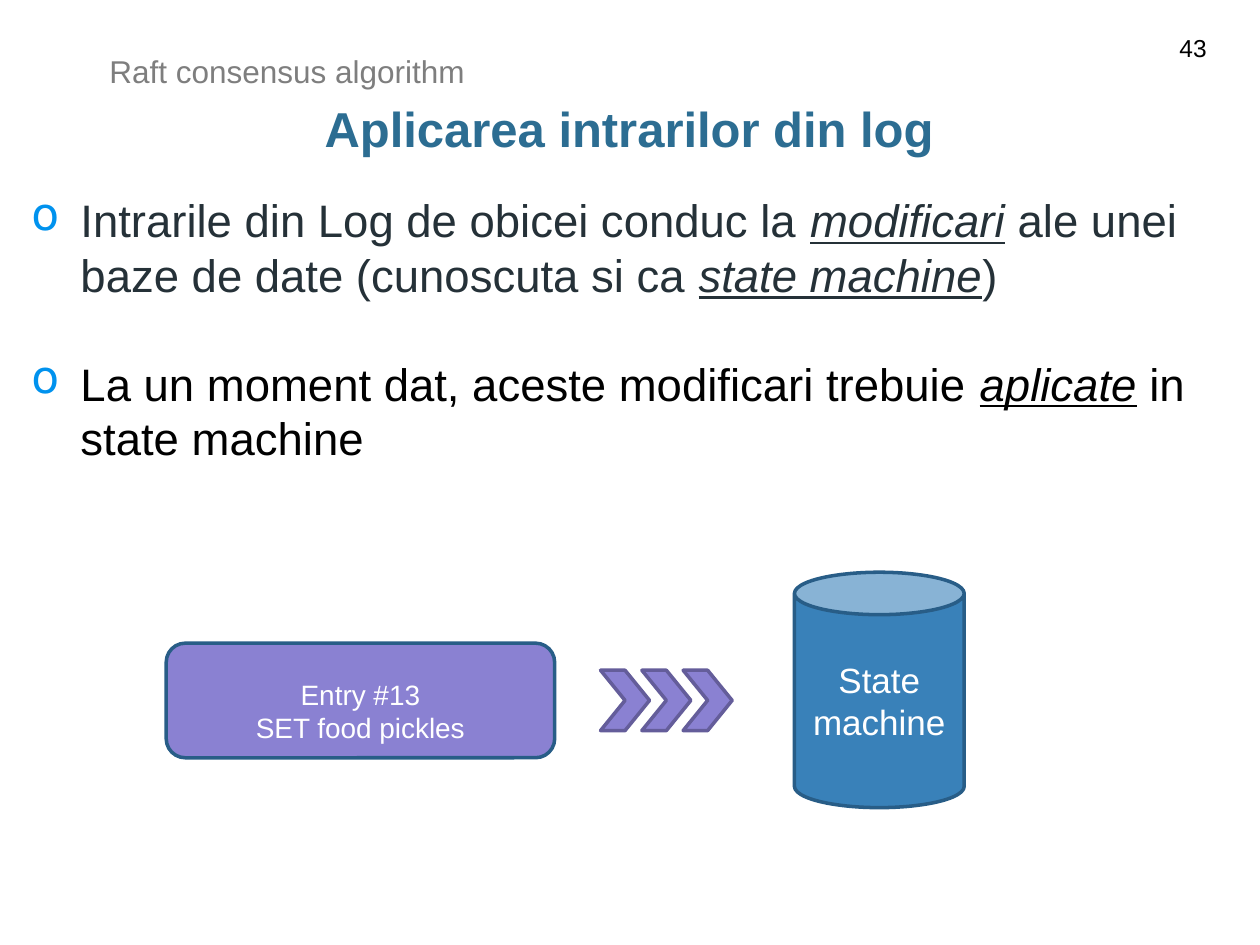
from dataclasses import dataclass

from lxml import etree
from pptx import Presentation
from pptx.dml.color import RGBColor
from pptx.enum.shapes import MSO_SHAPE
from pptx.enum.text import MSO_ANCHOR, PP_ALIGN
from pptx.oxml.ns import qn
from pptx.util import Pt

CAN, CHEVRON, BOX = MSO_SHAPE.CAN, MSO_SHAPE.CHEVRON, MSO_SHAPE.ROUNDED_RECTANGLE
LEFT, CENTER = PP_ALIGN.LEFT, PP_ALIGN.CENTER
TOP, MIDDLE = MSO_ANCHOR.TOP, MSO_ANCHOR.MIDDLE


@dataclass(frozen=True)
class Theme:
    font: str = "Arial"
    title: str = "2C6D92"
    header: str = "7E7E7E"
    dark: str = "253138"
    black: str = "000000"
    white: str = "FFFFFF"
    bullet: str = "0092EE"
    purple: str = "8A81D2"
    purple_line: str = "645D9A"
    blue: str = "3981B9"
    blue_line: str = "285D87"
    title_size: float = 28
    body_size: float = 26
    state_size: float = 20
    header_size: float = 18
    entry_size: float = 16
    number_size: float = 14
    line_width: float = 2


class Deck:
    def __init__(self, slide, theme):
        self.s = slide
        self.t = theme

    def style(self, font, size, color, bold=False):
        font.name = self.t.font
        font.size = Pt(size)
        font.bold = bold
        font.color.rgb = RGBColor.from_string(color)

    def frame(self, sp, anchor=TOP, top=1):
        tf = sp.text_frame
        tf.word_wrap = True
        tf.vertical_anchor = anchor
        tf.margin_left = tf.margin_right = tf.margin_bottom = 0
        tf.margin_top = Pt(top)
        return tf

    def fill_text(self, tf, lines, size, color, align, bold=False):
        for i, line in enumerate(lines):
            p = tf.paragraphs[0] if i == 0 else tf.add_paragraph()
            p.text = line
            p.alignment = align
            self.style(p.runs[0].font, size, color, bold)

    def text(self, x, y, w, h, line, size, color, align=LEFT, bold=False):
        sp = self.s.shapes.add_textbox(Pt(x), Pt(y), Pt(w), Pt(h))
        self.fill_text(self.frame(sp), [line], size, color, align, bold)

    def bullets(self, x, y, w, h, items, indent, gap):
        """Each item is (color, runs); a run is (text, emphasised)."""
        sp = self.s.shapes.add_textbox(Pt(x), Pt(y), Pt(w), Pt(h))
        tf = self.frame(sp)
        for i, (color, runs) in enumerate(items):
            p = tf.paragraphs[0] if i == 0 else tf.add_paragraph()
            if i:
                p.space_before = Pt(gap)
            pPr = p._p.get_or_add_pPr()
            pPr.set("marL", str(Pt(indent)))
            pPr.set("indent", str(-Pt(indent)))
            clr = etree.SubElement(pPr, qn("a:buClr"))
            etree.SubElement(clr, qn("a:srgbClr"), val=self.t.bullet)
            etree.SubElement(pPr, qn("a:buChar"), char="o")
            for words, emphasised in runs:
                r = p.add_run()
                r.text = words
                self.style(r.font, self.t.body_size, color)
                r.font.italic = r.font.underline = emphasised

    def shape(self, kind, x, y, w, h, fill, line, lines=(), size=0, top=0):
        sp = self.s.shapes.add_shape(kind, Pt(x), Pt(y), Pt(w), Pt(h))
        sp.shadow.inherit = False
        sp.fill.solid()
        sp.fill.fore_color.rgb = RGBColor.from_string(fill)
        sp.line.color.rgb = RGBColor.from_string(line)
        sp.line.width = Pt(self.t.line_width)
        self.fill_text(self.frame(sp, MIDDLE, top), lines, size, self.t.white, CENTER)


def main():
    prs = Presentation()
    prs.slide_width, prs.slide_height = Pt(720), Pt(540)
    t = Theme()
    d = Deck(prs.slides.add_slide(prs.slide_layouts[6]), t)

    # Title, page number and header
    d.text(24.5, 55.5, 670, 36, "Aplicarea intrarilor din log", t.title_size, t.title, CENTER, True)
    d.text(674, 18, 20, 19, "43", t.number_size, t.black)
    d.text(62.5, 29, 205, 24, "Raft consensus algorithm", t.header_size, t.header)

    # Bullet points
    d.bullets(18, 109, 665, 158, [
        (t.dark, [("Intrarile din Log de obicei conduc la ", False), ("modificari", True),
                  (" ale unei baze de date (cunoscuta si ca ", False),
                  ("state machine", True), (")", False)]),
        (t.black, [("La un moment dat, aceste modificari trebuie ", False),
                   ("aplicate", True), (" in state machine", False)]),
    ], indent=28, gap=31)

    # Log entry, arrows and state machine
    d.shape(BOX, 95, 367.5, 222, 65.5, t.purple, t.blue_line,
            ["Entry #13", "SET food pickles"], t.entry_size, top=12)
    for i in range(3):
        d.shape(CHEVRON, 343.2 + 23.6 * i, 383, 28, 34.5, t.purple, t.purple_line)
    d.shape(CAN, 454, 327, 97, 134.5, t.blue, t.blue_line, ["State machine"], t.state_size)

    prs.save("out.pptx")


if __name__ == "__main__":
    main()
